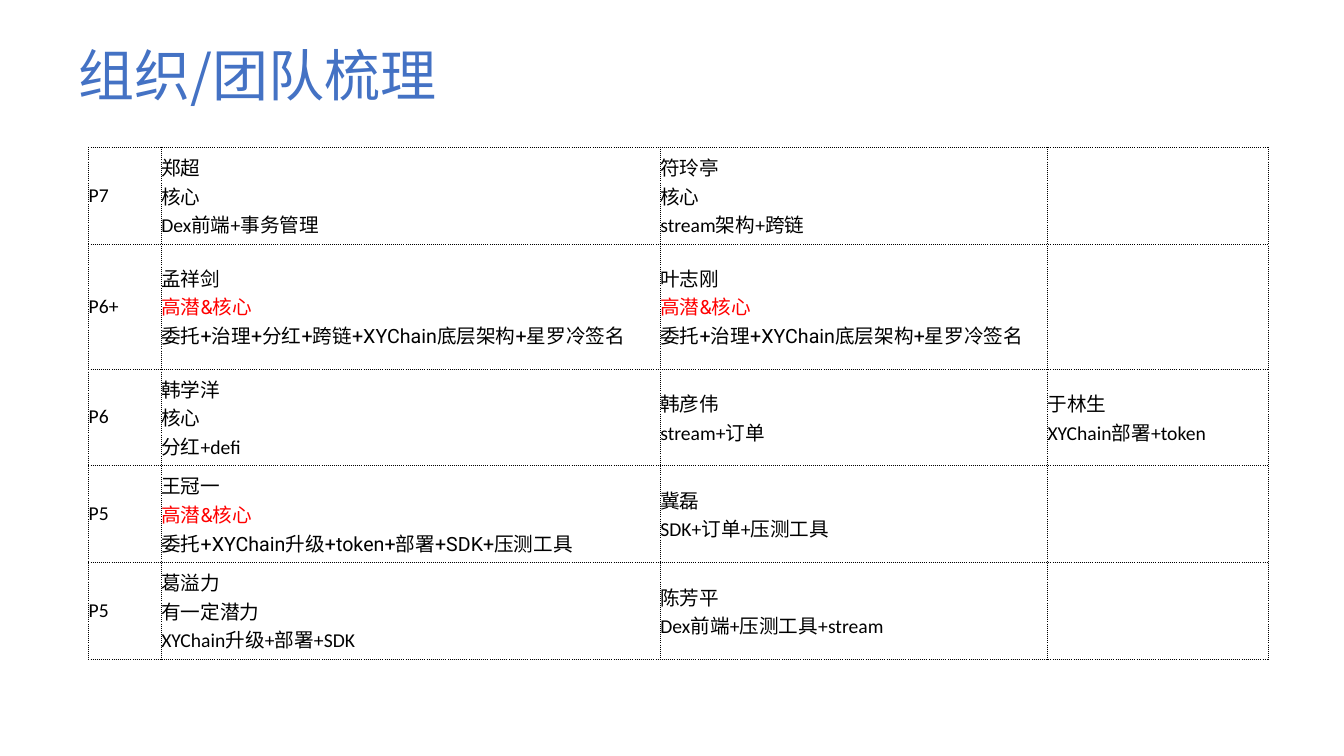
from dataclasses import dataclass

from lxml import etree
from pptx import Presentation
from pptx.dml.color import RGBColor
from pptx.enum.text import MSO_ANCHOR, PP_ALIGN
from pptx.oxml.ns import qn
from pptx.util import Inches, Pt

BLUE = RGBColor(0x44, 0x72, 0xC4)
BLACK = RGBColor(0x00, 0x00, 0x00)
RED = RGBColor(0xFF, 0x00, 0x00)
CJK, LATIN, ACCENT_LATIN = "Noto Sans CJK SC", "Calibri", "Roboto"
HIGH_POTENTIAL = "高潜&核心"
COL_WIDTHS = (0.72, 4.95, 3.84, 2.19)
ROW_HEIGHT, TALL_ROW_HEIGHT = 0.96, 1.24


@dataclass
class Member:
    name: str
    duties: str
    status: str = ""


@dataclass
class Level:
    grade: str
    members: list[Member]
    height: float = ROW_HEIGHT


LEVELS = [
    Level("P7", [Member("郑超", "Dex前端+事务管理", "核心"),
                 Member("符玲亭", "stream架构+跨链", "核心")]),
    Level("P6+", [Member("孟祥剑", "委托+治理+分红+跨链+XYChain底层架构+星罗冷签名", HIGH_POTENTIAL),
                  Member("叶志刚", "委托+治理+XYChain底层架构+星罗冷签名", HIGH_POTENTIAL)],
          TALL_ROW_HEIGHT),
    Level("P6", [Member("韩学洋", "分红+defi", "核心"),
                 Member("韩彦伟", "stream+订单"),
                 Member("于林生", "XYChain部署+token")]),
    Level("P5", [Member("王冠一", "委托+XYChain升级+token+部署+SDK+压测工具", HIGH_POTENTIAL),
                 Member("冀磊", "SDK+订单+压测工具")]),
    Level("P5", [Member("葛溢力", "XYChain升级+部署+SDK", "有一定潜力"),
                 Member("陈芳平", "Dex前端+压测工具+stream")]),
]


def add_text(p, text: str, size: float = 14, font: str = LATIN,
             color: RGBColor = BLACK) -> None:
    r = p.add_run()
    r.text = text
    r.font.size, r.font.name = Pt(size), font
    r.font.color.rgb = color
    rPr = r.font._element
    rPr.set("lang", "zh-CN")
    etree.SubElement(rPr, qn("a:ea")).set("typeface", CJK)


def format_cell(cell) -> None:
    """Clear the fill and margins, and draw dotted borders."""
    cell.fill.background()
    cell.vertical_anchor = MSO_ANCHOR.MIDDLE
    cell.margin_left = cell.margin_right = cell.margin_top = cell.margin_bottom = 0
    tcPr = cell._tc.get_or_add_tcPr()
    for i, side in enumerate(("lnL", "lnR", "lnT", "lnB")):
        ln = etree.Element(qn(f"a:{side}"), w=str(Pt(0.5)))
        fill = etree.SubElement(ln, qn("a:solidFill"))
        etree.SubElement(fill, qn("a:srgbClr"), val=str(BLACK))
        etree.SubElement(ln, qn("a:prstDash"), val="dot")
        tcPr.insert(i, ln)


def fill_member(cell, member: Member) -> None:
    high = member.status == HIGH_POTENTIAL
    font = ACCENT_LATIN if high else LATIN
    tf = cell.text_frame
    add_text(tf.paragraphs[0], member.name)
    if member.status:
        add_text(tf.add_paragraph(), member.status, font=font,
                 color=RED if high else BLACK)
    add_text(tf.add_paragraph(), member.duties, font=font)


def add_title(s, text: str) -> None:
    sp = s.shapes.title
    sp.left, sp.top, sp.width, sp.height = map(Inches, (0.73, 0.23, 11.5, 1.09))
    tf = sp.text_frame
    tf.vertical_anchor = MSO_ANCHOR.MIDDLE
    tf.margin_left = tf.margin_right = tf.margin_top = tf.margin_bottom = Inches(0.05)
    p = tf.paragraphs[0]
    p.alignment, p.line_spacing = PP_ALIGN.LEFT, 0.9
    add_text(p, text, size=40, font=CJK, color=BLUE)


def add_team_table(s, levels: list[Level]) -> None:
    height = sum(level.height for level in levels)
    table = s.shapes.add_table(len(levels), len(COL_WIDTHS), Inches(0.88), Inches(1.46),
                               Inches(sum(COL_WIDTHS)), Inches(height)).table
    table.first_row = table.horz_banding = False
    for col, width in zip(table.columns, COL_WIDTHS):
        col.width = Inches(width)
    for row, level in zip(table.rows, levels):
        row.height = Inches(level.height)
        cells = list(row.cells)
        for cell in cells:
            format_cell(cell)
        add_text(cells[0].text_frame.paragraphs[0], level.grade)
        for cell, member in zip(cells[1:], level.members):
            fill_member(cell, member)


def main() -> None:
    prs = Presentation()
    prs.slide_width, prs.slide_height = Inches(13.33), Inches(7.5)
    s = prs.slides.add_slide(prs.slide_layouts[5])
    add_title(s, "组织/团队梳理")
    add_team_table(s, LEVELS)
    prs.save("out.pptx")


if __name__ == "__main__":
    main()
